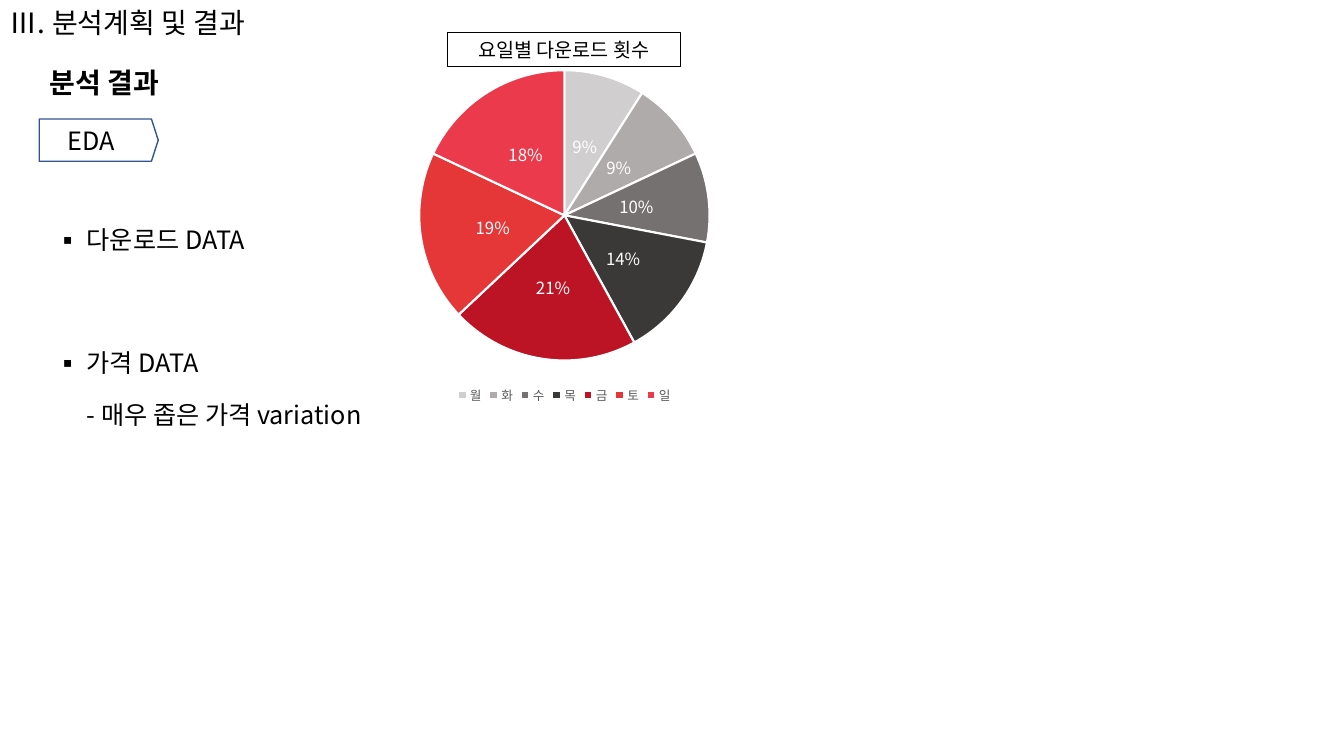
from lxml import etree
from pptx import Presentation
from pptx.chart.data import CategoryChartData
from pptx.dml.color import RGBColor
from pptx.enum.chart import XL_CHART_TYPE, XL_LABEL_POSITION, XL_LEGEND_POSITION
from pptx.enum.shapes import MSO_SHAPE
from pptx.enum.text import MSO_ANCHOR, PP_ALIGN
from pptx.oxml import parse_xml
from pptx.oxml.ns import nsdecls, qn
from pptx.util import Pt

PIE = XL_CHART_TYPE.PIE
LABEL_CENTER = XL_LABEL_POSITION.CENTER
LEGEND_BOTTOM = XL_LEGEND_POSITION.BOTTOM
RECT = MSO_SHAPE.RECTANGLE
PENTAGON = MSO_SHAPE.PENTAGON
MIDDLE = MSO_ANCHOR.MIDDLE
LEFT = PP_ALIGN.LEFT
CENTER = PP_ALIGN.CENTER

BLACK = RGBColor(0x00, 0x00, 0x00)
WHITE = RGBColor(0xFF, 0xFF, 0xFF)
GRAY = RGBColor(0x59, 0x59, 0x59)
NAVY = RGBColor(0x32, 0x54, 0x91)
DAYS = [
    ("월", 0.09, RGBColor(0xD0, 0xCE, 0xCE)),
    ("화", 0.09, RGBColor(0xAF, 0xAB, 0xAB)),
    ("수", 0.10, RGBColor(0x76, 0x71, 0x71)),
    ("목", 0.14, RGBColor(0x3B, 0x38, 0x38)),
    ("금", 0.21, RGBColor(0xBC, 0x14, 0x24)),
    ("토", 0.19, RGBColor(0xE5, 0x37, 0x37)),
    ("일", 0.18, RGBColor(0xEA, 0x3A, 0x4B)),
]


class SlideBuilder:
    font_name = "Noto Sans CJK KR"

    def __init__(self, slide):
        self.shapes = slide.shapes

    def apply(self, target, formats):
        for name, value in formats.items():
            setattr(target, name, value)

    def set_font(self, font, size, color=BLACK, bold=False):
        self.apply(font, {"name": self.font_name, "size": Pt(size), "bold": bold})
        font.color.rgb = color
        etree.SubElement(font._rPr, qn("a:ea"), typeface=self.font_name)

    def fill_text(self, sp, lines, size, align=LEFT, spacing=None, bold=False):
        tf = sp.text_frame
        self.apply(tf, {"word_wrap": True, "vertical_anchor": MIDDLE})
        p = tf.paragraphs[0]
        self.apply(p, {"alignment": align, "line_spacing": spacing})
        for i, line in enumerate(lines):
            if i:
                p.add_line_break()
            r = p.add_run()
            r.text = line
            self.set_font(r.font, size, bold=bold)
        return p

    def text(self, box, lines, size, **formats):
        sp = self.shapes.add_textbox(*map(Pt, box))
        return self.fill_text(sp, lines, size, **formats)

    def bullet(self, box, lines):
        p = self.text(box, lines, 18, spacing=1.7)
        pPr = p._p.get_or_add_pPr()
        pPr.set("marL", str(Pt(22.5)))
        pPr.set("indent", str(-Pt(22.5)))
        etree.SubElement(pPr, qn("a:buFont"), typeface=self.font_name)
        etree.SubElement(pPr, qn("a:buChar"), char="▪")

    def shape(self, kind, box, text, size, color, width):
        sp = self.shapes.add_shape(kind, *map(Pt, box))
        sp.shadow.inherit = False
        sp.fill.background()
        sp.line.color.rgb = color
        sp.line.width = Pt(width)
        self.fill_text(sp, [text], size, align=CENTER)
        return sp

    def pie(self, box, days, layout):
        names, values, colors = zip(*days)
        data = CategoryChartData(number_format="0%")
        data.categories = names
        data.add_series("Series 1", values)
        chart = self.shapes.add_chart(PIE, *map(Pt, box), data).chart
        self.set_font(chart.font, 10)
        self.apply(chart, {"has_title": False, "has_legend": True})
        self.apply(chart.legend, {
            "position": LEGEND_BOTTOM, "include_in_layout": False,
        })
        self.set_font(chart.legend.font, 9, GRAY)
        plot = chart.plots[0]
        plot.vary_by_categories = True
        series = plot.series[0]
        for i, color in enumerate(colors):
            fmt = series.points[i].format
            fmt.fill.solid()
            fmt.fill.fore_color.rgb = color
            fmt.line.color.rgb = WHITE
            fmt.line.width = Pt(1.5)
        labels = series.data_labels
        self.apply(labels, {
            "show_value": True,
            "show_percentage": False,
            "show_legend_key": False,
            "number_format": "0%",
            "number_format_is_linked": False,
            "position": LABEL_CENTER,
        })
        self.set_font(labels.font, 12, WHITE)
        area = plot._element.getparent()
        for old in area.findall(qn("c:layout")):
            area.remove(old)
        parts = "".join(f'<c:{k} val="{v}"/>' for k, v in layout.items())
        area.insert(0, parse_xml(
            f'<c:layout {nsdecls("c")}><c:manualLayout>{parts}'
            "</c:manualLayout></c:layout>"
        ))


def main():
    prs = Presentation()
    prs.slide_width = Pt(960)
    prs.slide_height = Pt(540)
    s = SlideBuilder(prs.slides.add_slide(prs.slide_layouts[6]))

    s.text((0, 0, 955.5, 35.3), ["Ⅲ. 분석계획 및 결과"], 20, spacing=0.9)
    eda = s.shape(PENTAGON, (28, 85, 85, 30.2), "EDA", 18, NAVY, 1)
    eda.adjustments[0] = 0.16
    eda.text_frame.margin_right = Pt(16)
    s.text((18, 42.5, 113, 35.3), ["분석 결과"], 20,
           align=CENTER, spacing=0.9, bold=True)
    s.bullet((32.4, 100, 927.4, 126.7), ["다운로드 DATA"])
    s.bullet((32.4, 206.6, 927.4, 126.7),
             ["가격 DATA", "- 매우 좁은 가격 variation"])
    s.pie((259.2, 38.9, 288, 252.7), DAYS, {
        "layoutTarget": "inner", "xMode": "edge", "yMode": "edge",
        "x": 0.14, "y": 0.04, "w": 0.72, "h": 0.83,
    })
    s.shape(RECT, (319.7, 23, 166.3, 24.5), "요일별 다운로드 횟수", 14, BLACK, 0.75)

    prs.save("out.pptx")


if __name__ == "__main__":
    main()
